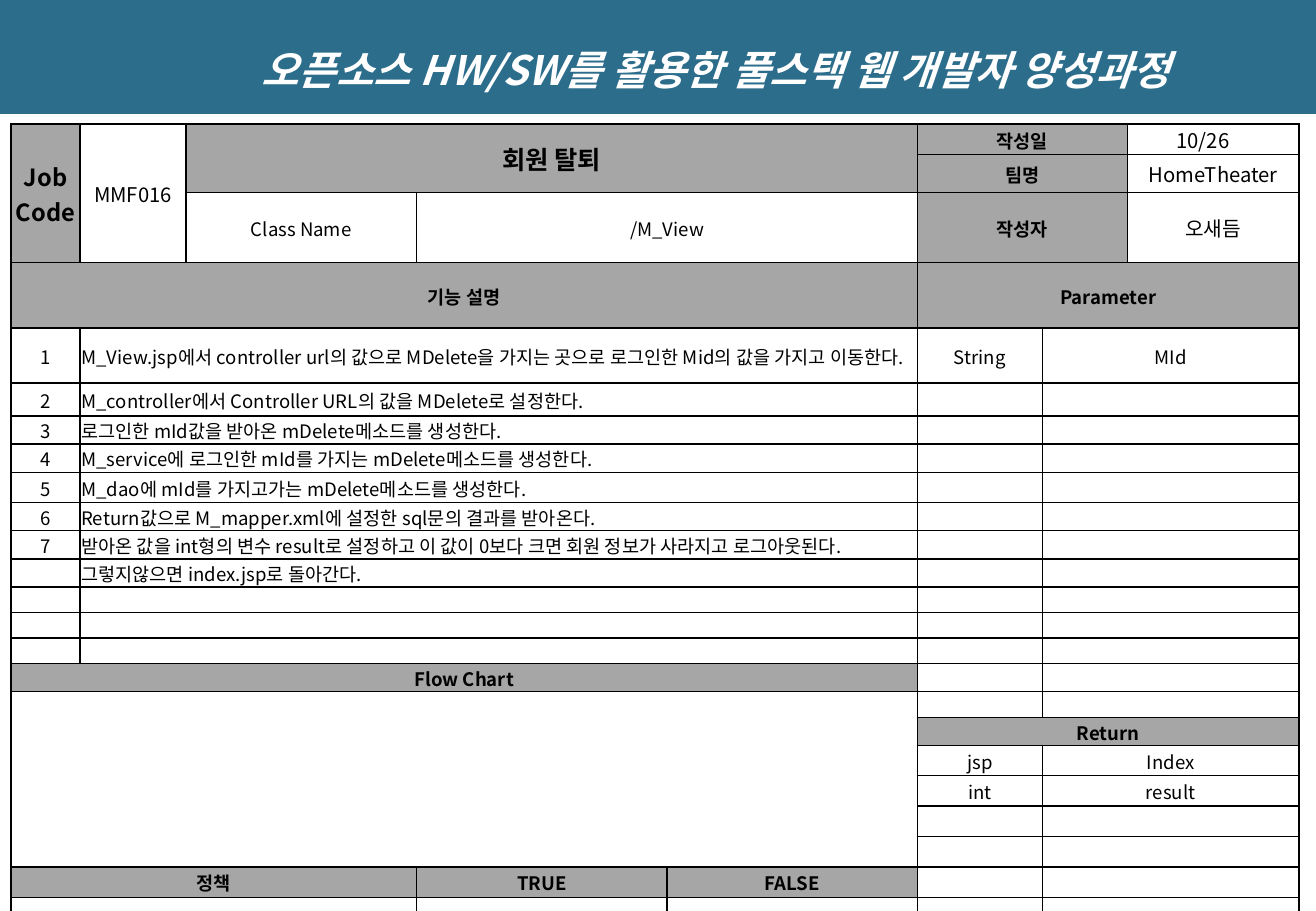
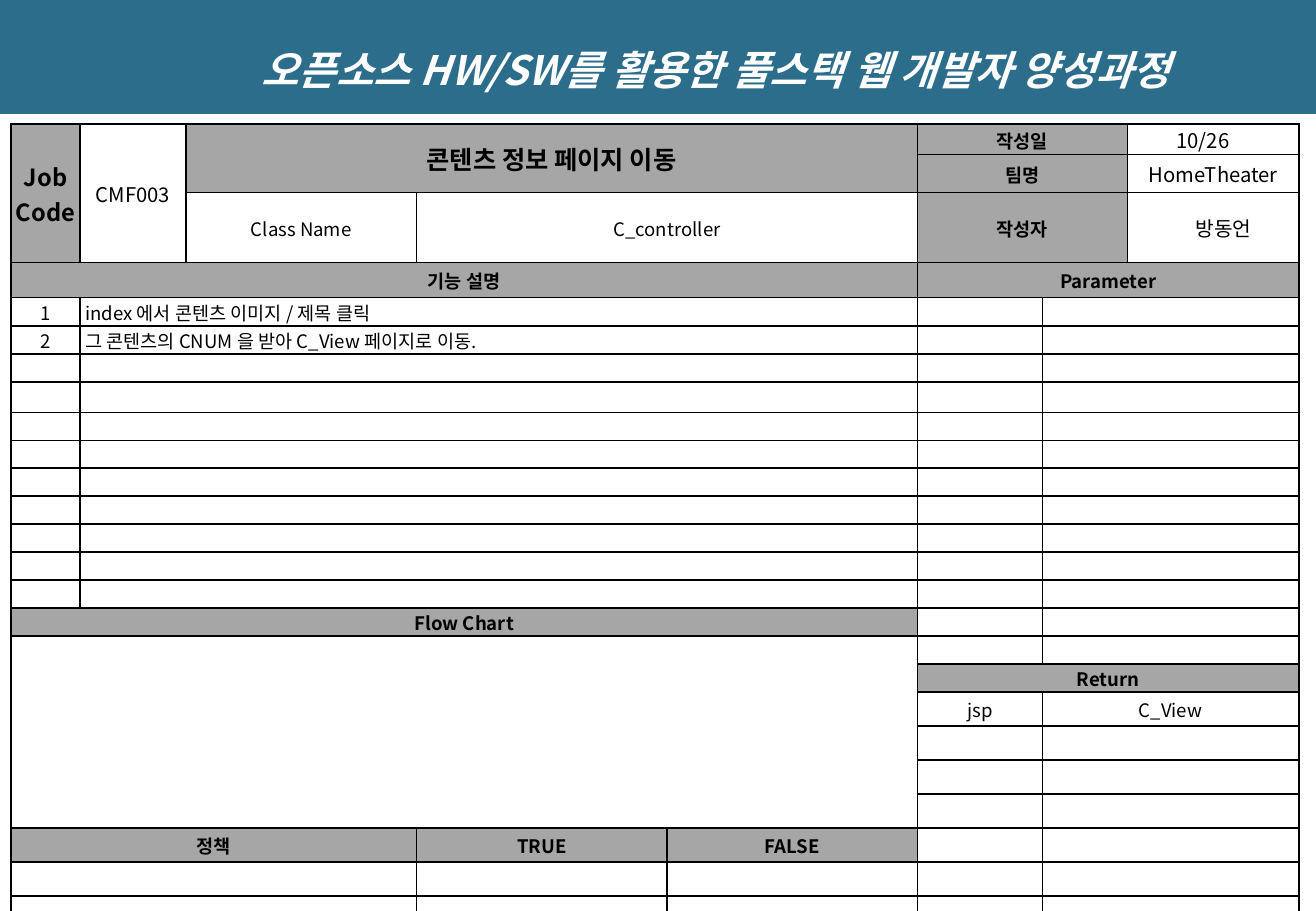
from lxml.etree import SubElement
from pptx import Presentation
from pptx.dml.color import RGBColor
from pptx.enum.text import MSO_ANCHOR as ANCHOR, PP_ALIGN as ALIGN
from pptx.oxml.ns import qn
from pptx.util import Inches, Pt

TEAL = RGBColor(0x2C, 0x6D, 0x8B)
GRAY = RGBColor(0xA6, 0xA6, 0xA6)
WHITE = RGBColor(0xFF, 0xFF, 0xFF)
BLACK = RGBColor(0, 0, 0)
FONT = "Noto Sans CJK KR"

WIDTH, HEIGHT = 10.83, 7.5
COLS = [0.57, 0.87, 1.9, 2.06, 2.06, 1.03, 0.7, 1.41]
TITLE = "오픈소스 HW/SW를 활용한 풀스택 웹 개발자 양성과정"

# Cell formats
HEAD = dict(fill=GRAY, bold=True)
INFO = dict(size=12)

# Rows of the form
FIRST_STEP, FLOW, RETURN, POLICY, LAST = 4, 15, 17, 22, 24


class Form:
    """Holds the deck style and the slide being filled."""

    def __init__(self, prs):
        self.prs = prs

    def new_slide(self):
        self.slide = self.prs.slides.add_slide(self.prs.slide_layouts[5])

    def style(self, r, size, color=BLACK, bold=False, italic=False):
        look = dict(name=FONT, size=Pt(size), bold=bold, italic=italic)
        for key, value in look.items():
            setattr(r.font, key, value)
        r.font.color.rgb = color
        SubElement(r.font._element, qn("a:ea"), typeface=FONT)

    def band(self, text):
        sp = self.slide.shapes.title
        box = dict(left=0, top=0, width=WIDTH, height=HEIGHT / 8)
        for key, value in box.items():
            setattr(sp, key, Inches(value))
        sp.fill.solid()
        sp.fill.fore_color.rgb = TEAL
        tf = sp.text_frame
        tf.word_wrap = True
        tf.vertical_anchor = ANCHOR.MIDDLE
        tf.margin_left = Inches(1.05)
        p = tf.paragraphs[0]
        p.alignment = ALIGN.CENTER
        p.line_spacing = 1.5
        p.text = text
        self.style(p.runs[0], 24, WHITE, bold=True, italic=True)

    def grid(self, heights):
        frame = self.slide.shapes.add_table(
            len(heights), len(COLS), Inches(0.09), Inches(1.02),
            Inches(sum(COLS)), Inches(sum(heights)))
        self.table = frame.table
        self.table.first_row = self.table.horz_banding = False
        for column, width in zip(self.table.columns, COLS):
            column.width = Inches(width)
        for row, height in zip(self.table.rows, heights):
            row.height = Inches(height)
        for cell in self.table.iter_cells():
            self.blank(cell)

    def blank(self, cell):
        cell.vertical_anchor = ANCHOR.MIDDLE
        cell.margin_left = cell.margin_right = cell.margin_top = Inches(0.01)
        cell.margin_bottom = 0
        # An empty cell must not be taller than a line of text
        end = cell.text_frame.paragraphs[0]._p.get_or_add_endParaRPr()
        end.set("sz", "1100")
        tcPr = cell._tc.get_or_add_tcPr()
        for side in ("lnL", "lnR", "lnT", "lnB"):
            line = SubElement(tcPr, qn("a:" + side), w=str(Pt(1)))
            fill = SubElement(line, qn("a:solidFill"))
            SubElement(fill, qn("a:srgbClr"), val=str(BLACK))
        cell.fill.background()

    def cell(self, row, col, text="", rows=1, cols=1, size=11, bold=False,
             fill=None, align=ALIGN.CENTER, left=0.01, right=0.01):
        cell = self.table.cell(row, col)
        if rows * cols > 1:
            cell.merge(self.table.cell(row + rows - 1, col + cols - 1))
        if fill is not None:
            cell.fill.solid()
            cell.fill.fore_color.rgb = fill
        cell.margin_left, cell.margin_right = Inches(left), Inches(right)
        if text:
            p = cell.text_frame.paragraphs[0]
            p.text = text
            p.alignment = align
            for r in p.runs:
                self.style(r, size, bold=bold)

    def header(self, code, name, class_name, author, author_gap):
        self.cell(0, 0, "Job\vCode", rows=3, size=14, **HEAD)
        self.cell(0, 1, code, rows=3, **INFO)
        self.cell(0, 2, name, rows=2, cols=3, size=15, **HEAD)
        self.cell(2, 2, "Class Name")
        self.cell(2, 3, class_name, cols=2)
        for row, label in enumerate(("작성일", "팀명", "작성자")):
            self.cell(row, 5, label, cols=2, **HEAD)
        self.cell(0, 7, "10/26", right=0.18, **INFO)
        self.cell(1, 7, "HomeTheater", **INFO)
        self.cell(2, 7, author, left=author_gap, **INFO)

    def sections(self):
        self.cell(3, 0, "기능 설명", cols=5, **HEAD)
        self.cell(3, 5, "Parameter", cols=3, **HEAD)
        self.cell(FLOW, 0, "Flow Chart", cols=5, **HEAD)
        self.cell(FLOW + 1, 0, rows=POLICY - FLOW - 1, cols=5)
        self.cell(RETURN, 5, "Return", cols=3, **HEAD)
        self.cell(POLICY, 0, "정책", cols=3, **HEAD)
        self.cell(POLICY, 3, "TRUE", **HEAD)
        self.cell(POLICY, 4, "FALSE", **HEAD)
        for row in range(POLICY + 1, LAST + 1):
            self.cell(row, 0, cols=3)

    def steps(self, texts, numbered, gap):
        for i in range(FLOW - FIRST_STEP):
            row = FIRST_STEP + i
            self.cell(row, 0, str(i + 1) if i < numbered else "")
            self.cell(row, 1, texts[i] if i < len(texts) else "", cols=4,
                      align=ALIGN.LEFT, left=gap)

    def values(self, pairs):
        """Type and name pairs of the right-hand lists, keyed by row."""
        for row in range(FIRST_STEP, LAST + 1):
            if row != RETURN:
                kind, name = pairs.get(row, ("", ""))
                self.cell(row, 5, kind)
                self.cell(row, 6, name, cols=2)


JOBS = [
    dict(
        heights=[0.21] * 3 + [0.54, 0.29, 0.27, 0.21, 0.22, 0.25]
        + [0.21] * 8 + [0.17] + [0.25] * 7,
        header=("MMF016", "회원 탈퇴", "/M_View", "오새듬", 0.01),
        steps=[
            "M_View.jsp에서 controller url의 값으로 MDelete을 가지는 곳으로 "
            "로그인한 Mid의 값을 가지고 이동한다.",
            "M_controller에서 Controller URL의 값을 MDelete로 설정한다.",
            "로그인한 mId값을 받아온 mDelete메소드를 생성한다.",
            "M_service에 로그인한 mId를 가지는 mDelete메소드를 생성한다.",
            "M_dao에 mId를 가지고가는 mDelete메소드를 생성한다.",
            "Return값으로 M_mapper.xml에 설정한 sql문의 결과를 받아온다.",
            "받아온 값을 int형의 변수 result로 설정하고 이 값이 0보다 크면 "
            "회원 정보가 사라지고 로그아웃된다.",
            "그렇지않으면 index.jsp로 돌아간다.",
        ],
        numbered=7,
        gap=0.01,
        values={FIRST_STEP: ("String", "MId"),
                RETURN + 1: ("jsp", "Index"),
                RETURN + 2: ("int", "result")},
    ),
    dict(
        heights=[0.24] * 3 + [0.29] + [0.23] * 3 + [0.25]
        + [0.23] * 9 + [0.21] + [0.28] * 7,
        header=("CMF003", "콘텐츠 정보 페이지 이동", "C_controller",
                "방동언", 0.18),
        steps=["index 에서 콘텐츠 이미지 / 제목 클릭",
               "그 콘텐츠의 CNUM 을 받아 C_View 페이지로 이동."],
        numbered=2,
        gap=0.04,
        values={RETURN + 1: ("jsp", "C_View")},
    ),
]


def main():
    prs = Presentation()
    prs.slide_width, prs.slide_height = Inches(WIDTH), Inches(HEIGHT)
    form = Form(prs)
    for job in JOBS:
        form.new_slide()
        form.band(TITLE)
        form.grid(job["heights"])
        form.header(*job["header"])
        form.sections()
        form.steps(job["steps"], job["numbered"], job["gap"])
        form.values(job["values"])
    prs.save("out.pptx")


if __name__ == "__main__":
    main()
